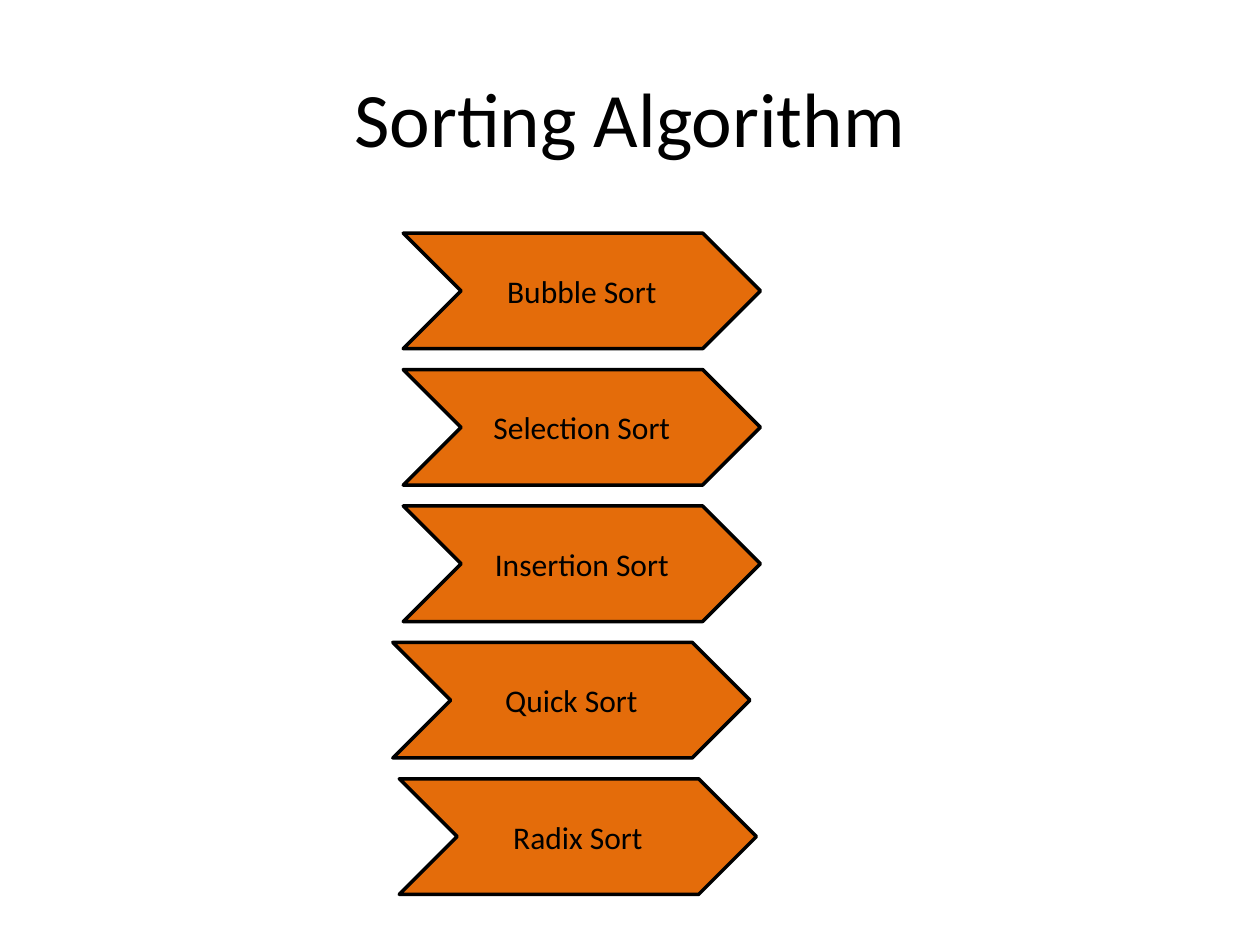
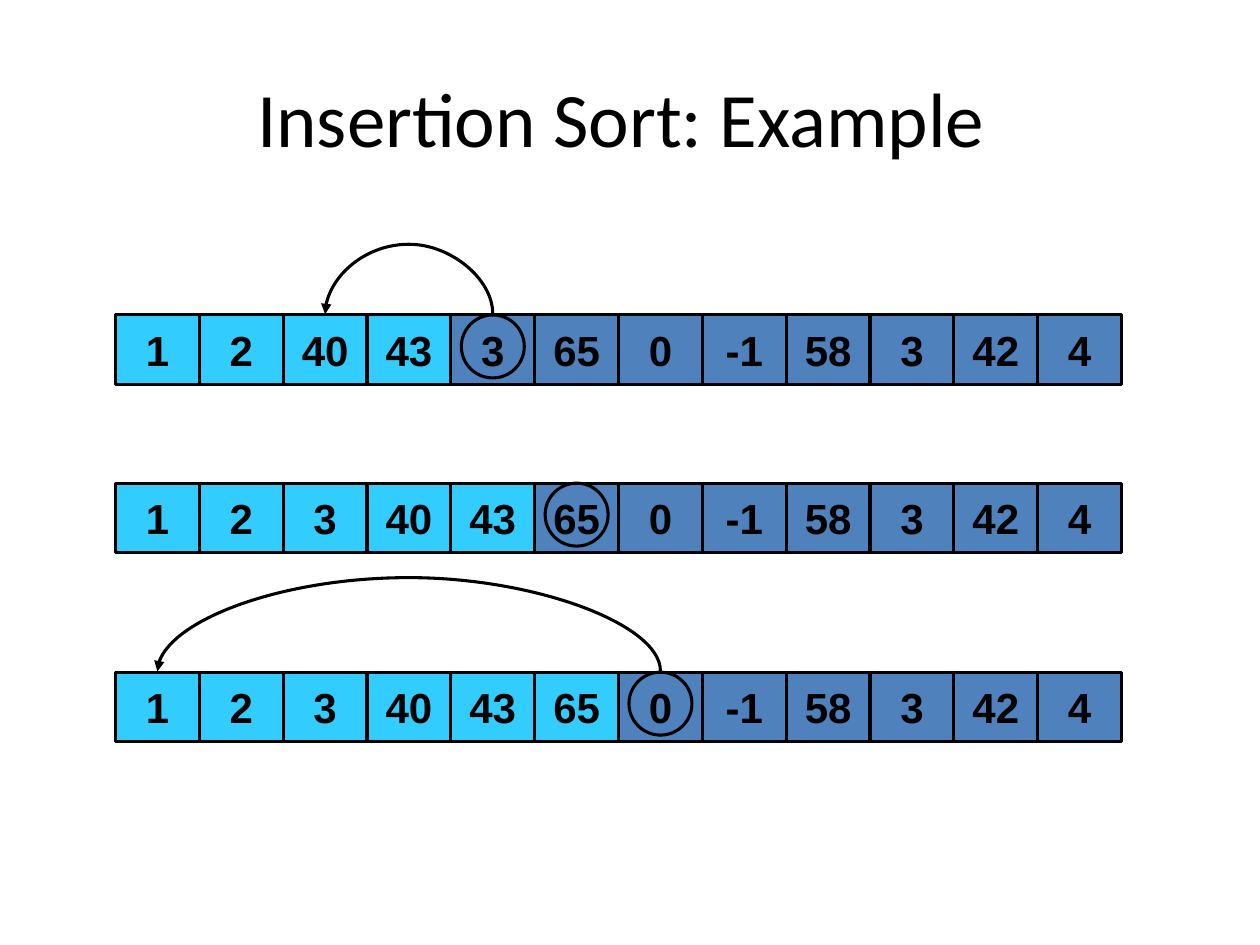
from dataclasses import dataclass
from typing import Any, Optional

from lxml.etree import SubElement
from pptx import Presentation
from pptx.dml.color import RGBColor
from pptx.enum.shapes import MSO_CONNECTOR as Connector, MSO_SHAPE as Preset
from pptx.enum.text import MSO_ANCHOR as Anchor, MSO_AUTO_SIZE as AutoSize, PP_ALIGN as Align
from pptx.oxml.ns import qn
from pptx.util import Cm, Pt

BLACK = "000000"
ORANGE = "E46C0A"
SORTED_BLUE = "33CCFF"
UNSORTED_BLUE = "4F81BD"
TITLE_FORMAT = {"name": "Calibri", "size": Pt(44), "bold": False}
ALGORITHM_FORMAT = {"name": "Calibri", "size": Pt(18), "bold": False}
NUMBER_FORMAT = {"name": "Arial", "size": Pt(24), "bold": True}

CHEVRON_WIDTH, CHEVRON_HEIGHT = 7.2, 2.33
CHEVRON_TOP, CHEVRON_STEP = 4.7, 2.75
ROW_LEFT, CELL_WIDTH, CELL_HEIGHT = 2.33, 1.69, 1.4
CIRCLE_SIZE = 1.27
ARC_GAP = 0.02
ARC_DEPTH = 0.01


@dataclass(frozen=True)
class Algorithm:
    name: str
    left: float


@dataclass(frozen=True)
class SortStep:
    top: float
    numbers: tuple[int, ...]
    current: int
    target: Optional[int] = None
    arc_rise: float = 0


UNTOUCHED = (0, -1, 58, 3, 42, 4)
ALGORITHMS = (
    Algorithm("Bubble Sort", 8.13),
    Algorithm("Selection Sort", 8.13),
    Algorithm("Insertion Sort", 8.13),
    Algorithm("Quick Sort", 7.92),
    Algorithm("Radix Sort", 8.05),
)
SORT_STEPS = (
    SortStep(6.35, (1, 2, 40, 43, 3, 65, *UNTOUCHED), 4, 2, 1.4),
    SortStep(9.74, (1, 2, 3, 40, 43, 65, *UNTOUCHED), 5),
    SortStep(13.55, (1, 2, 3, 40, 43, 65, *UNTOUCHED), 6, 0, 1.88),
)


def color(value: str) -> RGBColor:
    return RGBColor.from_string(value)


def write_text(box: Any, text: str, font_format: dict[str, Any], wrap: bool = True) -> None:
    frame = box.text_frame
    frame.word_wrap = wrap
    frame.auto_size = AutoSize.NONE
    frame.vertical_anchor = Anchor.MIDDLE
    para = frame.paragraphs[0]
    para.alignment = Align.CENTER
    span = para.add_run()
    span.text = text
    for attribute, value in font_format.items():
        setattr(span.font, attribute, value)
    span.font.color.rgb = color(BLACK)


def add_titled_page(deck: Any, title: str) -> Any:
    page = deck.slides.add_slide(deck.slide_layouts[5])
    box = page.shapes.title
    place = {"left": 1.27, "top": 0.76, "width": 22.86, "height": 3.18}
    for attribute, value in place.items():
        setattr(box, attribute, Cm(value))
    write_text(box, title, TITLE_FORMAT)
    return page


def add_outlined(page: Any, preset: Any, left: float, top: float, width: float,
                 height: float, fill: Optional[str], line_width: float) -> Any:
    shape = page.shapes.add_shape(preset, Cm(left), Cm(top), Cm(width), Cm(height))
    shape.shadow.inherit = False
    if fill:
        shape.fill.solid()
        shape.fill.fore_color.rgb = color(fill)
    else:
        shape.fill.background()
    shape.line.color.rgb = color(BLACK)
    shape.line.width = Pt(line_width)
    return shape


def cell_left(index: int) -> float:
    return ROW_LEFT + index * CELL_WIDTH


def add_arc(page: Any, step: SortStep) -> None:
    start = cell_left(step.current) + CELL_WIDTH / 2
    end = cell_left(step.target) + CELL_WIDTH / 2
    center_x = (start + end) / 2
    center_y = step.top - ARC_GAP
    half_span = (start - end) / 2
    arc = page.shapes.add_connector(
        Connector.CURVE,
        Cm(center_x + ARC_DEPTH / 2), Cm(center_y + half_span),
        Cm(center_x - ARC_DEPTH / 2), Cm(center_y - half_span))
    arc.line.color.rgb = color(BLACK)
    arc.line.width = Pt(1.75)
    properties = arc.element.spPr
    properties.find(qn("a:xfrm")).set("rot", str(270 * 60000))
    adjustments = properties.find(qn("a:prstGeom")).find(qn("a:avLst"))
    bend = round(-step.arc_rise / ARC_DEPTH * 100000)
    SubElement(adjustments, qn("a:gd"), name="adj1", fmla=f"val {bend}")
    SubElement(properties.find(qn("a:ln")), qn("a:tailEnd"), type="triangle")
    SubElement(properties, qn("a:effectLst"))


def add_sort_step(page: Any, step: SortStep) -> None:
    for index, number in enumerate(step.numbers):
        fill = SORTED_BLUE if index < step.current else UNSORTED_BLUE
        cell = add_outlined(page, Preset.RECTANGLE, cell_left(index), step.top,
                            CELL_WIDTH, CELL_HEIGHT, fill, 1.75)
        write_text(cell, str(number), NUMBER_FORMAT, wrap=False)
    circle_left = cell_left(step.current) + (CELL_WIDTH - CIRCLE_SIZE) / 2
    add_outlined(page, Preset.OVAL, circle_left, step.top,
                 CIRCLE_SIZE, CIRCLE_SIZE, None, 1.75)
    if step.target is not None:
        add_arc(page, step)


def build_algorithm_page(deck: Any) -> None:
    page = add_titled_page(deck, "Sorting Algorithm")
    for index, algorithm in enumerate(ALGORITHMS):
        chevron = add_outlined(page, Preset.CHEVRON, algorithm.left,
                               CHEVRON_TOP + index * CHEVRON_STEP,
                               CHEVRON_WIDTH, CHEVRON_HEIGHT, ORANGE, 2)
        write_text(chevron, algorithm.name, ALGORITHM_FORMAT)


def build_example_page(deck: Any) -> None:
    page = add_titled_page(deck, "Insertion Sort: Example ")
    for step in SORT_STEPS:
        add_sort_step(page, step)


def main() -> None:
    deck = Presentation()
    deck.slide_width, deck.slide_height = Cm(25.4), Cm(19.05)
    build_algorithm_page(deck)
    build_example_page(deck)
    deck.save("out.pptx")


if __name__ == "__main__":
    main()
